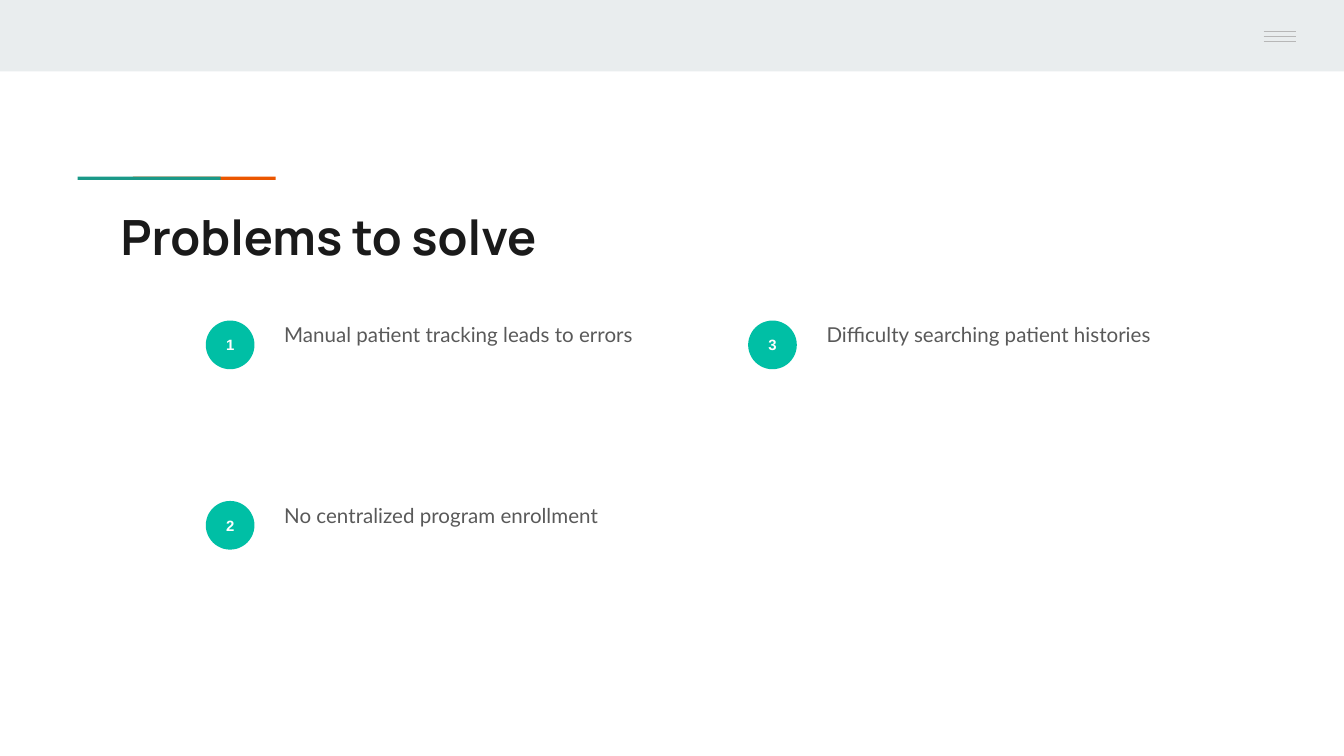
from dataclasses import dataclass

from lxml.etree import SubElement
from pptx import Presentation
from pptx.dml.color import RGBColor
from pptx.enum.shapes import MSO_CONNECTOR, MSO_SHAPE
from pptx.enum.text import MSO_ANCHOR, MSO_AUTO_SIZE, PP_ALIGN
from pptx.oxml.ns import qn
from pptx.util import Cm, Pt


@dataclass(frozen=True)
class Theme:
    band: str = "E9EDEE"
    teal: str = "1A9988"
    orange: str = "EB5600"
    menu: str = "B7B7B7"
    badge: str = "00BFA5"
    title_style: tuple = ("Manrope", 26, True, "1A1A1A")
    badge_style: tuple = ("Arial", 8, True, "FFFFFF")
    body_style: tuple = ("Lato", 11, False, "595959")


THEME = Theme()
PROBLEMS = [
    "Manual patient tracking leads to errors",
    "No centralized program enrollment",
    "Difficulty searching patient histories",
]
ROWS = 2
COL_PITCH, ROW_PITCH = 10.25, 3.41
INSET = Cm(0.25)


def set_all(obj, values):
    for name, value in values.items():
        setattr(obj, name, value)


def place(sp, left, top, width, height):
    set_all(sp, {"left": Cm(left), "top": Cm(top),
                 "width": Cm(width), "height": Cm(height)})


def write(sp, text, style, anchor=MSO_ANCHOR.TOP, align=PP_ALIGN.LEFT, spacing=None):
    """Put one formatted, unbulleted paragraph into a shape."""
    tf = sp.text_frame
    set_all(tf, {"word_wrap": True, "auto_size": MSO_AUTO_SIZE.NONE,
                 "vertical_anchor": anchor,
                 "margin_left": INSET, "margin_right": INSET,
                 "margin_top": INSET, "margin_bottom": INSET})
    p = tf.paragraphs[0]
    pPr = p._p.get_or_add_pPr()
    pPr.set("marL", "0")
    pPr.set("indent", "0")
    SubElement(pPr, qn("a:buNone"))
    set_all(p, {"alignment": align, "space_before": Pt(0), **(spacing or {})})
    r = p.add_run()
    r.text = text
    name, size, bold, color = style
    set_all(r.font, {"name": name, "size": Pt(size), "bold": bold})
    r.font.color.rgb = RGBColor.from_string(color)


def add_block(s, kind, box, color):
    sp = s.shapes.add_shape(kind, *map(Cm, box))
    sp.shadow.inherit = False
    sp.fill.solid()
    sp.fill.fore_color.rgb = RGBColor.from_string(color)
    sp.line.fill.background()
    return sp


def add_rule(s, left, right, y):
    line = s.shapes.add_connector(MSO_CONNECTOR.STRAIGHT,
                                  Cm(left), Cm(y), Cm(right), Cm(y))
    line.line.color.rgb = RGBColor.from_string(THEME.menu)
    line.line.width = Pt(0.75)
    SubElement(line._element.spPr, qn("a:effectLst"))


def add_header(s):
    # Top band with the menu icon
    add_block(s, MSO_SHAPE.RECTANGLE, (0, 0, 25.4, 1.35), THEME.band)
    for i in range(3):
        add_rule(s, 23.88, 24.49, 0.59 + i * 0.1)
    # Accent bar: teal overlaps orange
    for left, color in ((2.51, THEME.orange), (1.47, THEME.teal)):
        add_block(s, MSO_SHAPE.RECTANGLE, (left, 3.34, 2.7, 0.06), color)


def add_problem(s, index, body, text):
    col, row = divmod(index, ROWS)
    x, y = 3.89 + col * COL_PITCH, 5.77 + row * ROW_PITCH
    badge = add_block(s, MSO_SHAPE.OVAL, (x, y + 0.29, 0.92, 0.92), THEME.badge)
    write(badge, str(index + 1), THEME.badge_style,
          anchor=MSO_ANCHOR.MIDDLE, align=PP_ALIGN.CENTER)
    place(body, x + 1.23, y, 7.87, 2.92)
    write(body, text, THEME.body_style,
          spacing={"line_spacing": 1.15, "space_after": Pt(16)})


def main():
    prs = Presentation()
    set_all(prs, {"slide_width": Cm(25.4), "slide_height": Cm(14.29)})
    s = prs.slides.add_slide(prs.slide_layouts.get_by_name("Comparison"))
    title, *bodies = s.placeholders
    add_header(s)

    # Title
    place(title, 2.03, 3.66, 21.36, 1.5)
    write(title, "Problems to solve", THEME.title_style)

    # Numbered problems, filled column by column
    for i, (body, text) in enumerate(zip(bodies, PROBLEMS)):
        add_problem(s, i, body, text)
    for spare in bodies[len(PROBLEMS):]:
        spare._element.getparent().remove(spare._element)

    prs.save("out.pptx")


if __name__ == "__main__":
    main()
